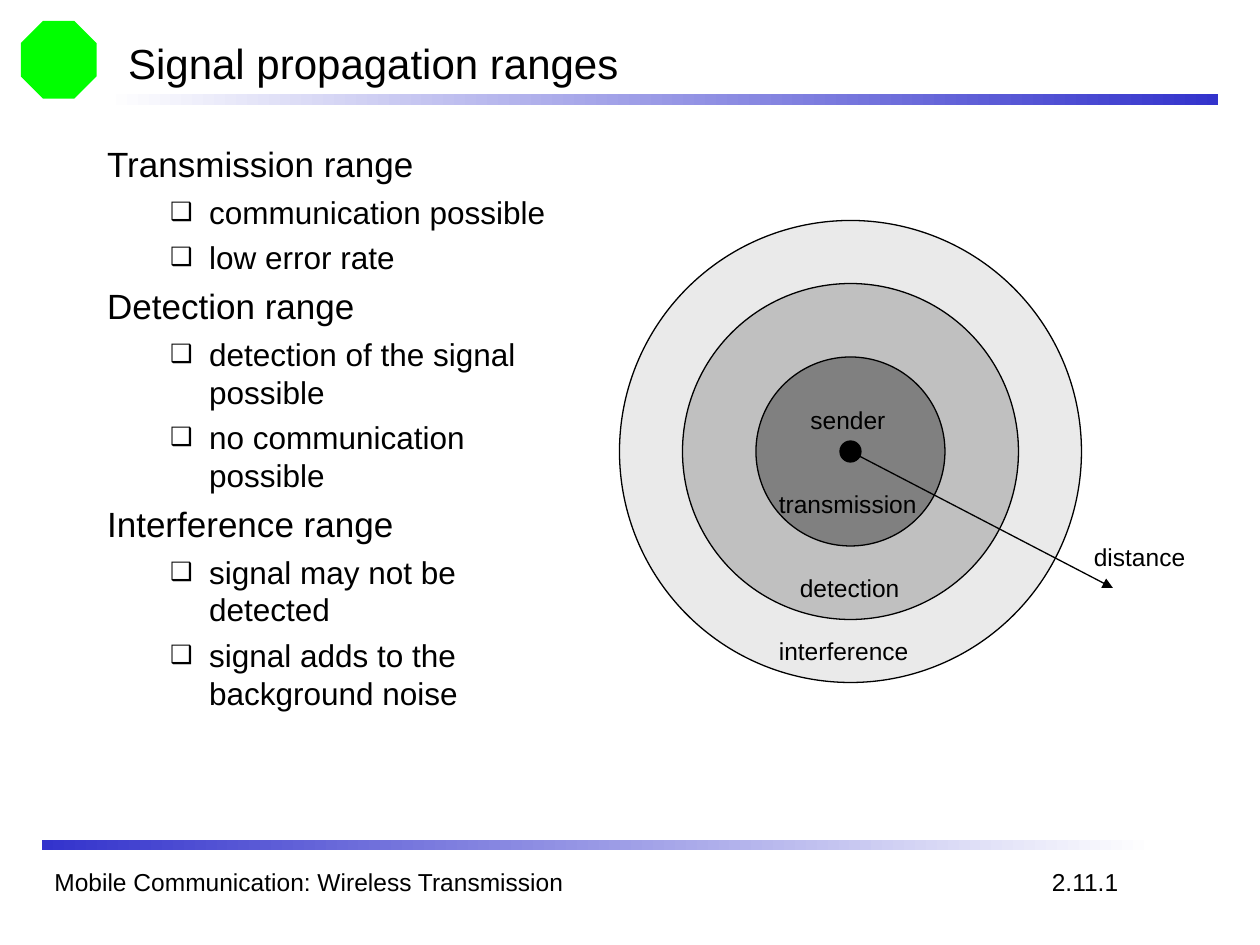
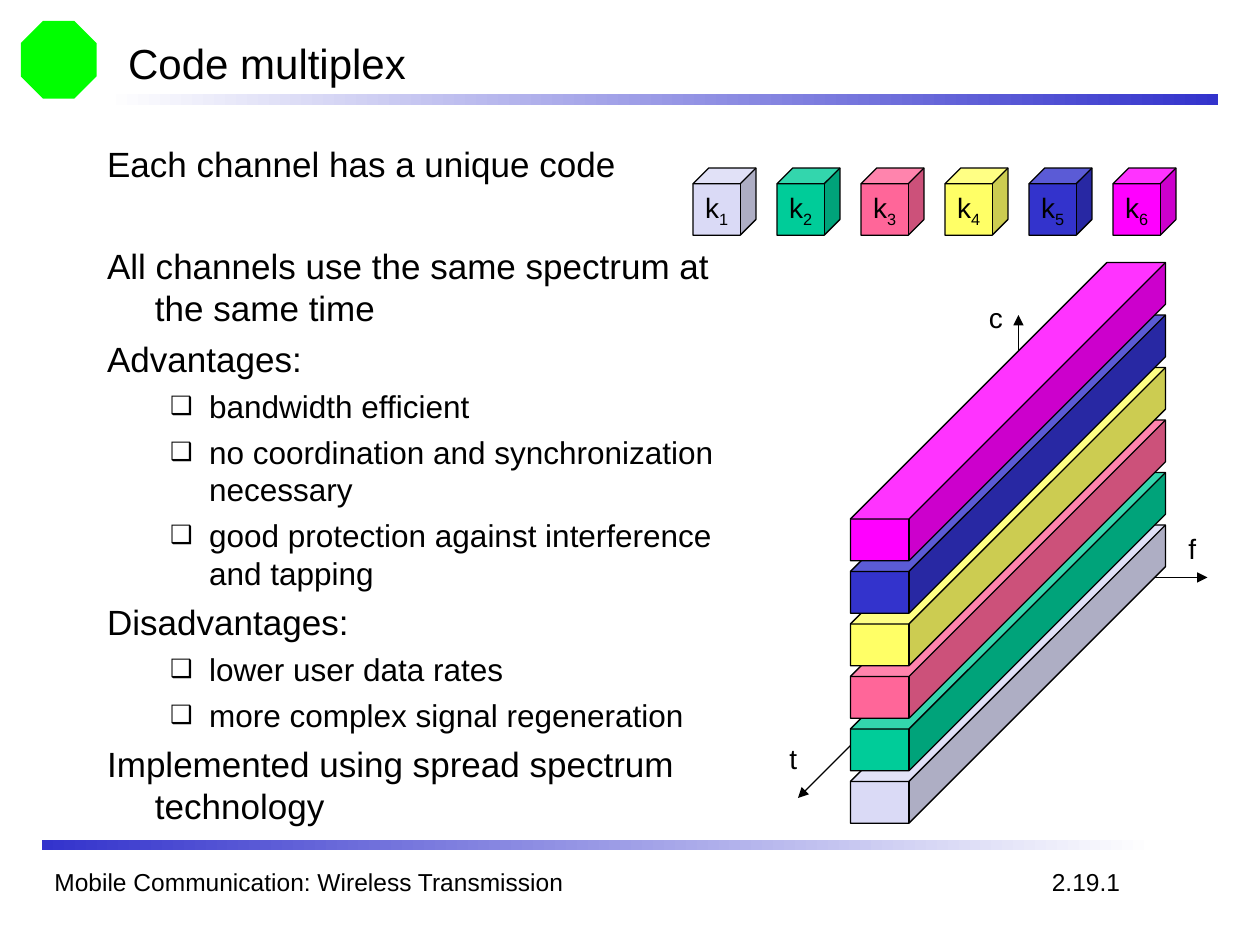
from lxml import etree
from pptx import Presentation
from pptx.dml.color import RGBColor
from pptx.enum.shapes import MSO_CONNECTOR, MSO_SHAPE
from pptx.enum.text import MSO_ANCHOR, MSO_AUTO_SIZE, PP_ALIGN
from pptx.oxml.ns import qn
from pptx.util import Inches, Pt

OCTAGON, RECTANGLE = MSO_SHAPE.OCTAGON, MSO_SHAPE.RECTANGLE
OVAL, CUBE = MSO_SHAPE.OVAL, MSO_SHAPE.CUBE
STRAIGHT = MSO_CONNECTOR.STRAIGHT
MIDDLE, TOP = MSO_ANCHOR.MIDDLE, MSO_ANCHOR.TOP
LEFT, CENTER = PP_ALIGN.LEFT, PP_ALIGN.CENTER
NO_AUTOFIT = MSO_AUTO_SIZE.NONE

COLORS = {
    "black": "000000", "white": "FFFFFF", "emblem": "00FF00", "band": "3333CC",
    "interference": "EAEAEA", "detection": "C0C0C0", "transmission": "808080",
    "k1": "DADAF6", "k2": "00CC99", "k3": "FF6699",
    "k4": "FFFF66", "k5": "3333CC", "k6": "FF00FF",
}
CHANNELS = ["k1", "k2", "k3", "k4", "k5", "k6"]
FONT = "Arial"
GRID = Inches(1) // 12  # the slide is 120 columns by 90 rows
LINE_SPACING = 1.0
# level: (text size, space before, left margin, hanging indent)
LEVELS = {0: (20, 5, 0.38, 0.38), 1: (18, 4.5, 0.81, 0.31)}
EMPTY_LINE = 29


def cells(*lengths):
    return [round(length * GRID) for length in lengths]


def color(name):
    return RGBColor.from_string(COLORS[name])


class Deck:
    """Holds the shared style and the slide being drawn."""

    def __init__(self):
        self.presentation = Presentation()
        self.presentation.slide_width, self.presentation.slide_height = cells(120, 90)
        self.slide = None

    def start_slide(self, title, number):
        layout = self.presentation.slide_layouts[1]
        self.slide = self.presentation.slides.add_slide(layout)
        self.shape(OCTAGON, 2, 2, 7.2, 7.4, "emblem", outlined=False)
        self.band(10, 9, "white", "band")
        self.band(4, 80, "band", "white")
        self.label("Mobile Communication: Wireless Transmission", 4, 82, 59)
        self.label(number, 99, 82)
        frame = self.placeholder(self.slide.shapes.title, 11, 3, 102, 6, MIDDLE)
        frame.paragraphs[0].alignment = LEFT
        self.run(frame.paragraphs[0], title, 24)

    def placeholder(self, shape, left, top, width, height, anchor):
        shape.left, shape.top, shape.width, shape.height = cells(left, top, width, height)
        frame = shape.text_frame
        frame.auto_size = NO_AUTOFIT
        frame.vertical_anchor = anchor
        return frame

    def run(self, paragraph, text, size, baseline=None):
        run = paragraph.add_run()
        run.text = text
        run.font.name = FONT
        run.font.size = Pt(size)
        run.font.color.rgb = color("black")
        if baseline:
            run.font._element.set("baseline", str(baseline * 1000))

    def body(self, width, items):
        """Items are (level, text) or (level, text, extra space before)."""
        frame = self.placeholder(self.slide.placeholders[1], 9, 13, width, 67, TOP)
        for index, (level, text, *extra) in enumerate(items):
            paragraph = frame.add_paragraph() if index else frame.paragraphs[0]
            size, space, margin, hanging = LEVELS[level]
            paragraph.level = level
            self.bullet(paragraph, level, margin, hanging)
            paragraph.line_spacing = LINE_SPACING
            paragraph.space_before = Pt(space + sum(extra)) if index else Pt(0)
            for line_index, line in enumerate(text.split("\n")):
                if line_index:
                    paragraph.add_line_break()
                self.run(paragraph, line, size)

    def bullet(self, paragraph, level, margin, hanging):
        properties = paragraph._p.get_or_add_pPr()
        properties.set("marL", str(Inches(margin)))
        properties.set("indent", str(-Inches(hanging)))
        if level == 0:
            etree.SubElement(properties, qn("a:buNone"))
            return
        bullet_color = etree.SubElement(properties, qn("a:buClr"))
        etree.SubElement(bullet_color, qn("a:srgbClr"), val=COLORS["black"])
        etree.SubElement(properties, qn("a:buSzPct"), val="80000")
        etree.SubElement(properties, qn("a:buFont"), typeface=FONT)
        etree.SubElement(properties, qn("a:buChar"), char="❑")

    def shape(self, kind, left, top, width, height, fill, outlined=True, adjustment=None):
        shape = self.slide.shapes.add_shape(kind, *cells(left, top, width, height))
        shape.shadow.inherit = False
        shape.fill.solid()
        shape.fill.fore_color.rgb = color(fill)
        if outlined:
            shape.line.color.rgb = color("black")
            shape.line.width = Pt(0.75)
        else:
            shape.line.fill.background()
        if adjustment:
            shape.adjustments[0] = adjustment
        return shape

    def band(self, left, top, start, end):
        band = self.shape(RECTANGLE, left, top, 106, 1, start, outlined=False)
        band.fill.gradient()
        band.fill.gradient_angle = 0
        for position, (stop, name) in enumerate(zip(band.fill.gradient_stops, (start, end))):
            stop.position = position
            stop.color.rgb = color(name)

    def circle(self, column, row, diameter, fill):
        radius = diameter / 2
        self.shape(OVAL, column - radius, row - radius, diameter, diameter, fill)

    def label(self, text, left, top, width=17, size=14):
        box = self.slide.shapes.add_textbox(*cells(left, top, width, 4))
        box.text_frame.word_wrap = True
        self.run(box.text_frame.paragraphs[0], text, size)

    def code_cube(self, name, left):
        cube = self.shape(CUBE, left, 16, 6, 6.4, name, adjustment=0.25)
        frame = cube.text_frame
        frame.word_wrap = False
        frame.vertical_anchor = MIDDLE
        paragraph = frame.paragraphs[0]
        paragraph.alignment = CENTER
        self.run(paragraph, name[0], 16)
        self.run(paragraph, name[1], 16, baseline=-25)

    def arrow(self, start, end):
        arrow = self.slide.shapes.add_connector(STRAIGHT, *cells(*start, *end))
        arrow.line.color.rgb = color("black")
        arrow.line.width = Pt(0.75)
        etree.SubElement(arrow.line._get_or_add_ln(), qn("a:tailEnd"), type="triangle")
        etree.SubElement(arrow._element.spPr, qn("a:effectLst"))


def signal_propagation(deck):
    deck.start_slide("Signal propagation ranges", "2.11.1")
    deck.body(102, [
        (0, "Transmission range"),
        (1, "communication possible"),
        (1, "low error rate"),
        (0, "Detection range"),
        (1, "detection of the signal\npossible"),
        (1, "no communication\npossible"),
        (0, "Interference range"),
        (1, "signal may not be\ndetected"),
        (1, "signal adds to the\nbackground noise"),
    ])
    sender = (81, 43)
    for diameter, fill in [(44, "interference"), (32, "detection"),
                           (18, "transmission"), (2, "black")]:
        deck.circle(*sender, diameter, fill)
    deck.arrow(sender, (106, 56))
    for text, left, top in [("distance", 103, 51), ("sender", 76, 38),
                            ("transmission", 73, 46), ("detection", 75, 54),
                            ("interference", 73, 60)]:
        deck.label(text, left, top)


def code_multiplex(deck):
    deck.start_slide("Code multiplex", "2.19.1")
    deck.body(65, [
        (0, "Each channel has a unique code"),
        (0, "All channels use the same spectrum at the same time", EMPTY_LINE),
        (0, "Advantages:"),
        (1, "bandwidth efficient"),
        (1, "no coordination and synchronization necessary"),
        (1, "good protection against interference and tapping"),
        (0, "Disadvantages:"),
        (1, "lower user data rates"),
        (1, "more complex signal regeneration"),
        (0, "Implemented using spread spectrum technology"),
    ])
    origin = (97, 55)
    for text, tip, left, top in [("t", (76, 76), 74, 70), ("c", (97, 30), 93, 28),
                                 ("f", (115, 55), 112, 50)]:
        deck.arrow(origin, tip)
        deck.label(text, left, top, width=4, size=16)
    for index, name in enumerate(CHANNELS):
        deck.shape(CUBE, 81, 50 - 5 * index, 30, 28.4, name, adjustment=0.86)
        deck.code_cube(name, 66 + 8 * index)


def main():
    deck = Deck()
    signal_propagation(deck)
    code_multiplex(deck)
    deck.presentation.save("out.pptx")


if __name__ == "__main__":
    main()
